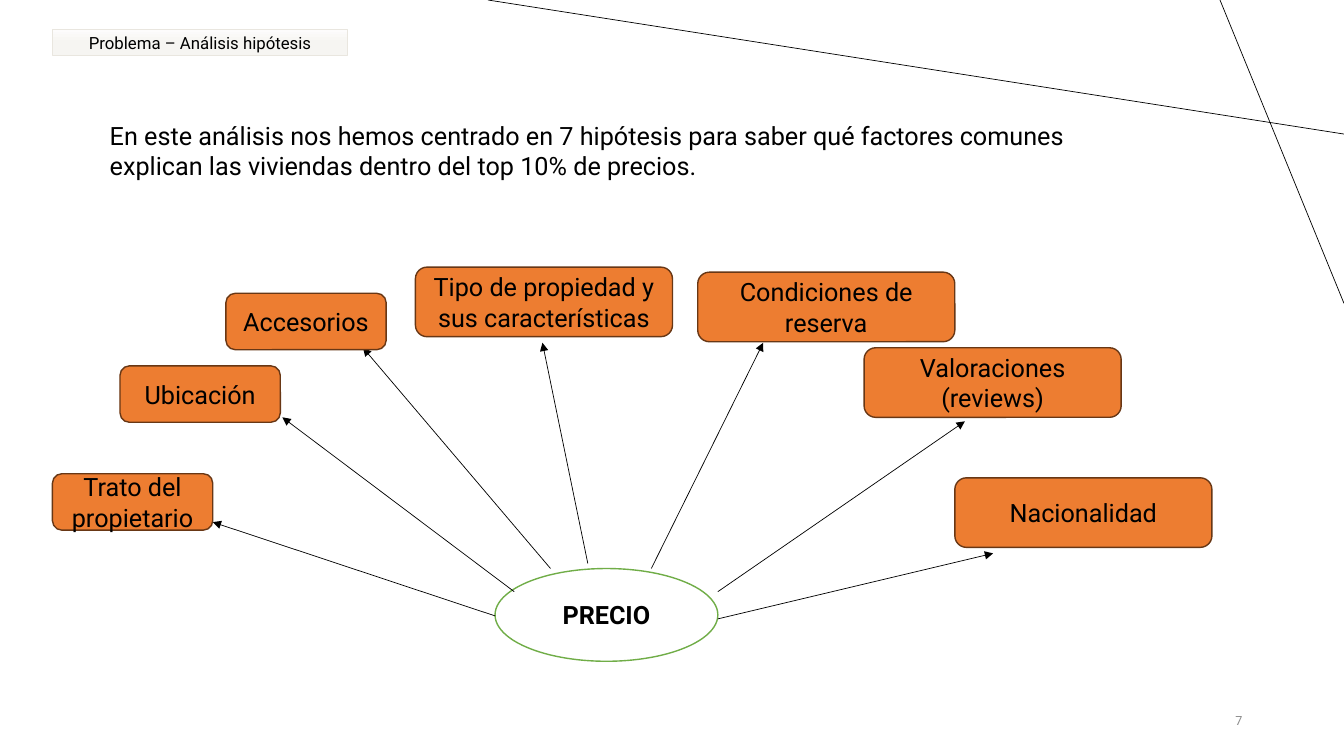
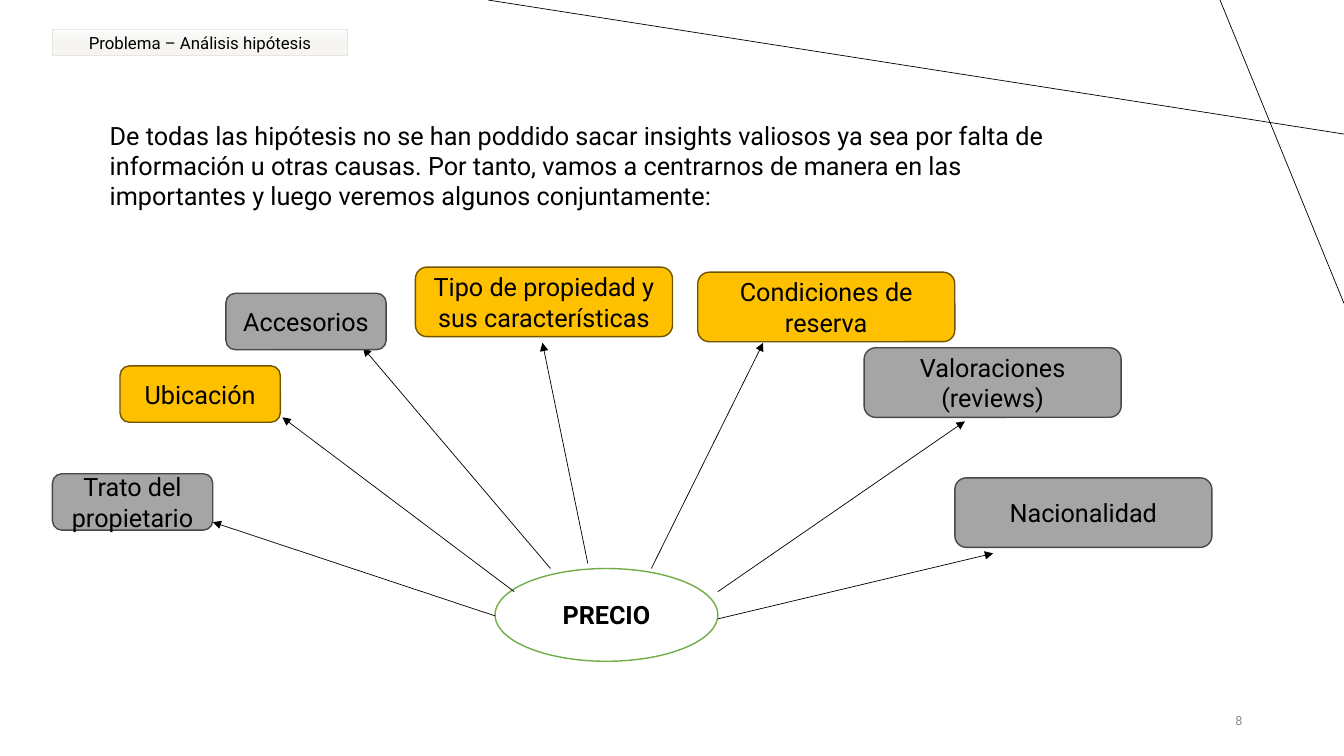
from pptx import Presentation
from pptx.dml.color import RGBColor
from pptx.enum.shapes import MSO_CONNECTOR as CONN, MSO_SHAPE as SHAPE
from pptx.enum.text import MSO_ANCHOR as ANCHOR, MSO_AUTO_SIZE as AUTO, PP_ALIGN as ALIGN
from pptx.oxml.ns import qn
from pptx.util import Inches, Pt
from lxml.etree import SubElement
from copy import deepcopy

# Content
TITLE = "Problema – Análisis hipótesis"
CENTRE = "PRECIO"
SMALL, LARGE = (1.59, 0.56), (2.55, 0.69)

# Label, box corner, box size, arrow start, arrow end
HYPOTHESES = [
    ("Trato del propietario", (0.52, 4.7), SMALL, (4.91, 6.11), (2.11, 5.18)),
    ("Ubicación", (1.19, 3.63), SMALL, (5.1, 5.87), (2.8, 4.14)),
    ("Accesorios", (2.24, 2.91), SMALL, (5.46, 5.64), (3.6, 3.45)),
    ("Tipo de propiedad y sus características", (4.12, 2.65), LARGE, (5.83, 5.59), (5.38, 3.4)),
    ("Condiciones de reserva", (6.92, 2.7), LARGE, (6.46, 5.64), (7.57, 3.4)),
    ("Valoraciones (reviews)", (8.57, 3.45), LARGE, (7.12, 5.87), (9.57, 4.18)),
    ("Nacionalidad", (9.47, 4.74), LARGE, (7.12, 6.14), (9.85, 5.49)),
]
KEY = {"Ubicación", "Tipo de propiedad y sus características", "Condiciones de reserva"}

SLIDES = [
    dict(number=7, height=0.71, marks=("plain", "plain"),
         intro="En este análisis nos hemos centrado en 7 hipótesis para saber qué factores "
               "comunes explican las viviendas dentro del top 10% de precios."),
    dict(number=8, height=1.01, marks=("key", "muted"),
         intro="De todas las hipótesis no se han poddido sacar insights valiosos ya sea por "
               "falta de información u otras causas. Por tanto, vamos a centrarnos de manera "
               "en las importantes y luego veremos algunos conjuntamente:"),
]

# Shared style
FONT = "Roboto"
COLORS = {
    "text": "000000", "number": "8C8C8C", "white": "FFFFFF", "green": "70AD47",
    "plain": "ED7D31", "plain_line": "683715",
    "key": "FFC000", "key_line": "705400",
    "muted": "A5A5A5", "muted_line": "484848",
    "tag_top": "FDFCFC", "tag_mid": "F6F5F2", "tag_end": "F5F3F0", "tag_line": "E9E6DF",
}
CORNER_LINES = [((13.33, 1.33), (4.84, 0)), ((12.1, 0), (13.33, 3.01))]


def rgb(name):
    return RGBColor.from_string(COLORS[name])


def write(shape, text, align=ALIGN.CENTER, anchor=ANCHOR.MIDDLE, color="text", **font):
    tf = shape.text_frame
    frame = dict(word_wrap=True, auto_size=AUTO.NONE, vertical_anchor=anchor)
    for name, value in frame.items():
        setattr(tf, name, value)
    p = tf.paragraphs[0]
    p.alignment = align
    r = p.add_run()
    r.text = text
    for name, value in {"name": FONT, "size": Pt(18), "bold": False, **font}.items():
        setattr(r.font, name, value)
    r.font.color.rgb = rgb(color)


def add_text(s, text, box, **style):
    write(s.shapes.add_textbox(*map(Inches, box)), text, **style)


def outline(shape, color, width):
    shape.line.color.rgb = rgb(color)
    shape.line.width = Pt(width)


def add_node(s, kind, text, box, fill, line, **font):
    sp = s.shapes.add_shape(kind, *map(Inches, box))
    sp.shadow.inherit = False
    sp.fill.solid()
    sp.fill.fore_color.rgb = rgb(fill)
    outline(sp, line, 1)
    write(sp, text, **font)


def add_line(s, start, end, arrow=False):
    c = s.shapes.add_connector(CONN.STRAIGHT, *map(Inches, start + end))
    outline(c, "text", 0.5)
    if arrow:
        SubElement(c.line._get_or_add_ln(), qn("a:tailEnd"), type="triangle")
    SubElement(c._element.spPr, qn("a:effectLst"))
    return c


def format_title(title):
    box = dict(left=0.52, top=0.29, width=2.93, height=0.26)
    for name, value in box.items():
        setattr(title, name, Inches(value))
    title.text_frame.margin_top = title.text_frame.margin_bottom = 0
    write(title, TITLE, size=Pt(12))
    # Three-stop vertical gradient
    title.fill.gradient()
    first = title._element.spPr.find(".//" + qn("a:gs"))
    first.addnext(deepcopy(first))
    stops = zip(title.fill.gradient_stops, (0, 0.5, 1), ("tag_top", "tag_mid", "tag_end"))
    for stop, position, color in stops:
        stop.position = position
        stop.color.rgb = rgb(color)
    title.fill.gradient_angle = 270
    outline(title, "tag_line", 0.5)


def build_slide(prs, number, intro, height, marks):
    s = prs.slides.add_slide(prs.slide_layouts[5])
    format_title(s.shapes.title)
    add_text(s, str(number), (11.34, 6.95, 1.08, 0.4),
             align=ALIGN.RIGHT, color="number", size=Pt(9))
    add_text(s, intro, (0.99, 1.14, 9.9, height), align=ALIGN.LEFT, anchor=ANCHOR.TOP)

    # Hypotheses around the price
    add_node(s, SHAPE.OVAL, CENTRE, (4.91, 5.64, 2.21, 0.92), "white", "green", bold=True)
    for label, corner, size, start, end in HYPOTHESES:
        mark = marks[0] if label in KEY else marks[1]
        add_line(s, start, end, arrow=True)
        add_node(s, SHAPE.ROUNDED_RECTANGLE, label, corner + size, mark, mark + "_line")
    return s


def main():
    prs = Presentation()
    prs.slide_width, prs.slide_height = Inches(13.33), Inches(7.5)
    for data in SLIDES:
        s = build_slide(prs, **data)
    # Corner lines belong to the master
    for start, end in CORNER_LINES:
        prs.slide_master.shapes._spTree.append(add_line(s, start, end)._element)
    prs.save("out.pptx")


if __name__ == "__main__":
    main()
